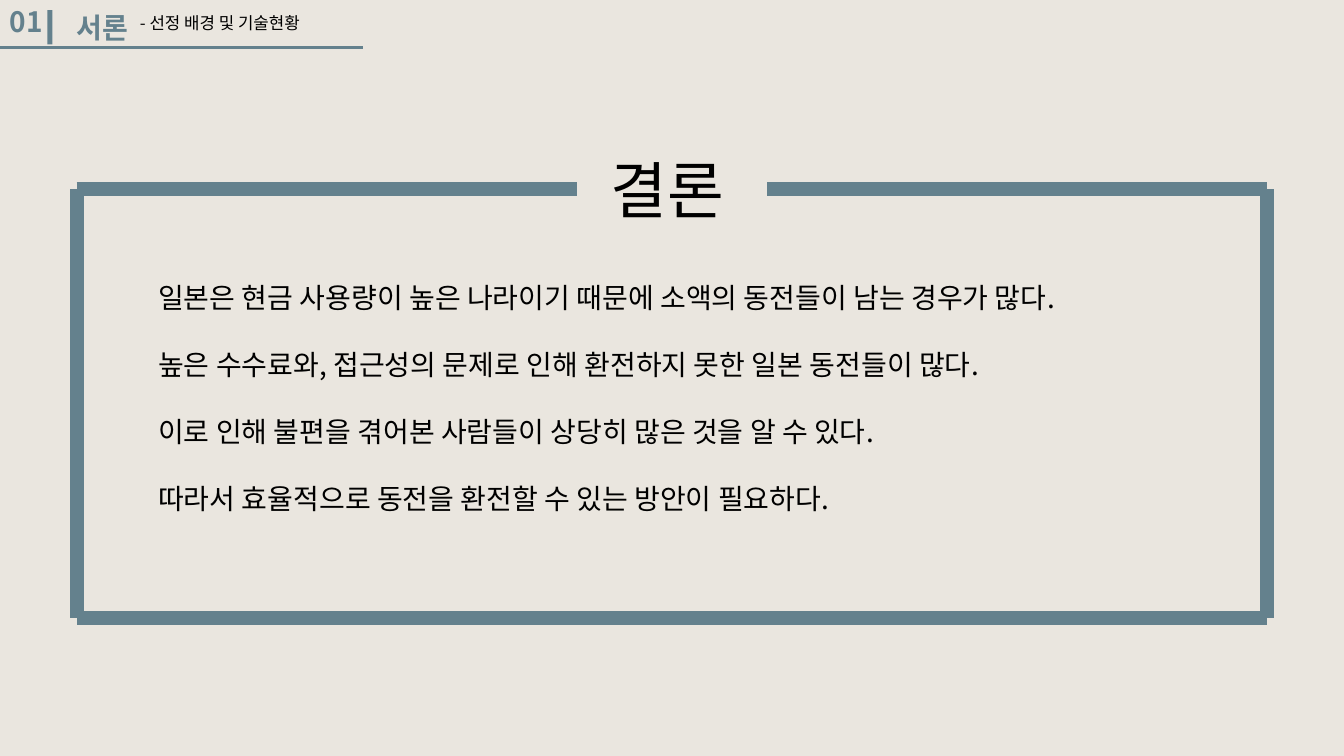
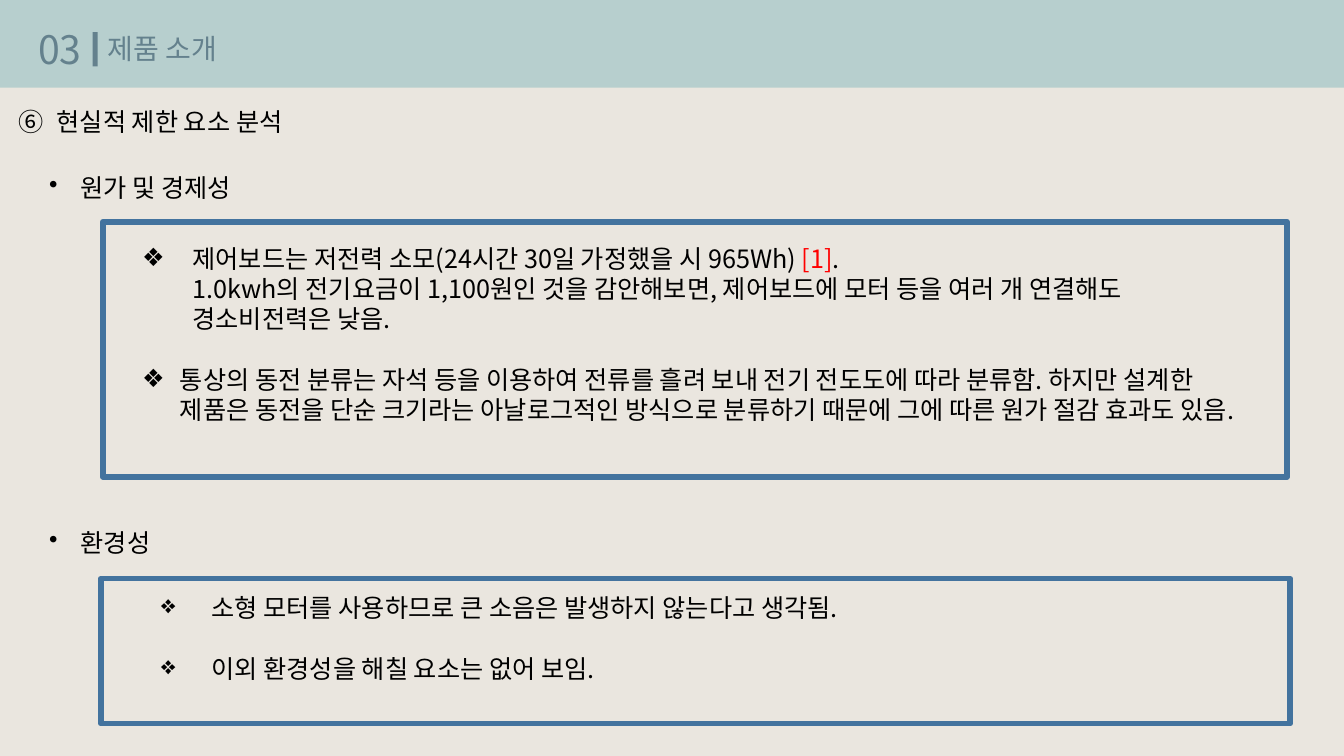
"""Build two slides: a framed conclusion and an analysis of practical limits."""
from dataclasses import dataclass

from lxml.etree import SubElement as Sub
from pptx import Presentation as Deck
from pptx.dml.color import RGBColor as Rgb
from pptx.enum.shapes import MSO_CONNECTOR as Link, MSO_SHAPE as Form
from pptx.enum.text import MSO_ANCHOR as Anchor, MSO_AUTO_SIZE as Fit, PP_ALIGN as Align
from pptx.oxml.ns import qn
from pptx.util import Pt

FONT = "Noto Sans CJK KR"
PAPER, SLATE, BAND = "EAE6DF", "64818D", "B7CFCE"
BLUE, RED, BLACK = "43739E", "FF0000", "000000"
WIDE, HIGH = 960, 540
PITCH = 1.2

Box = tuple[float, float, float, float]
Spot = tuple[float, float]


@dataclass(frozen=True)
class Item:
    """One paragraph: coloured runs, indent, bullet and gap above."""
    runs: tuple[tuple[str, str], ...]
    left: float = 0
    hang: float = 0
    mark: str = ""
    gap: float = 0


@dataclass(frozen=True)
class Head:
    """The numbered heading of a slide."""
    num: str
    name: str
    num_box: Box
    bar: Spot
    name_box: Box
    size: float
    bold: bool


@dataclass(frozen=True)
class Part:
    """A bulleted topic and the outline under it."""
    name: str
    spot: Box
    frame: Box


def hue(code: str) -> Rgb:
    """Turn a hex string into a colour."""
    return Rgb.from_string(code)


def place(shape, box: Box) -> None:
    """Move and size a shape in points."""
    shape.left, shape.top, shape.width, shape.height = map(Pt, box)


def line(text: str, **look) -> Item:
    """Make a paragraph of one black run."""
    return Item(((text, BLACK),), **look)


def bullet(para, item: Item) -> None:
    """Set the indent and the bullet of a paragraph."""
    props = para._p.get_or_add_pPr()
    props.set("marL", str(Pt(item.left)))
    props.set("indent", str(Pt(-item.hang)))
    if item.mark.isdigit():
        Sub(props, qn("a:buAutoNum"), type="circleNumDbPlain", startAt=item.mark)
    elif item.mark:
        Sub(props, qn("a:buChar"), char=item.mark)
    else:
        Sub(props, qn("a:buNone"))


def write(page, text: str | list[Item], box: Box, *, size: float = 18,
          color: str = BLACK, bold: bool = False, shape=None):
    """Write text into a placeholder or a new text box."""
    shape = shape or page.shapes.add_textbox(0, 0, 0, 0)
    place(shape, box)
    frame = shape.text_frame
    frame.word_wrap = True
    frame.auto_size = Fit.NONE
    frame.vertical_anchor = Anchor.TOP
    items = [Item(((text, color),))] if isinstance(text, str) else text
    for pos, item in enumerate(items):
        para = frame.add_paragraph() if pos else frame.paragraphs[0]
        bullet(para, item)
        para.alignment = Align.LEFT
        para.line_spacing = Pt(PITCH * size)
        para.space_before = Pt(item.gap)
        for words, tint in item.runs:
            run = para.add_run()
            run.text = words
            font = run.font
            font.name, font.size, font.bold = FONT, Pt(size), bold
            font.color.rgb = hue(tint)
            Sub(font._element, qn("a:ea"), typeface=FONT)
    return shape


def rect(page, box: Box, fill: str = "", edge: str = ""):
    """Draw a filled or an outlined rectangle."""
    shape = page.shapes.add_shape(Form.RECTANGLE, *map(Pt, box))
    shape.shadow.inherit = False
    if fill:
        shape.fill.solid()
        shape.fill.fore_color.rgb = hue(fill)
    else:
        shape.fill.background()
    if edge:
        shape.line.color.rgb = hue(edge)
        shape.line.width = Pt(4)
    else:
        shape.line.fill.background()
    return shape


def rule(page, start: Spot, end: Spot, width: float):
    """Draw a straight slate line."""
    wire = page.shapes.add_connector(Link.STRAIGHT, *map(Pt, start + end))
    wire.line.color.rgb = hue(SLATE)
    wire.line.width = Pt(width)
    Sub(wire.element.spPr, qn("a:effectLst"))
    return wire


def start(deck, head: Head):
    """Add a slide with its numbered heading."""
    page = deck.slides.add_slide(deck.slide_layouts[1])
    write(page, head.num, head.num_box, size=head.size, color=SLATE, bold=head.bold)
    rect(page, (*head.bar, 3.6, 24.5), fill=SLATE)
    write(page, head.name, head.name_box, size=20, color=SLATE, bold=head.bold,
          shape=page.shapes.title)
    return page


def close(deck) -> None:
    """Build the framed conclusion."""
    page = start(deck, Head("01", "서론", (0, 0, 53, 32), (33.8, 7.2),
                            (47.5, 3.6, 245.5, 32), 20, True))
    rule(page, (0, 33.8), (259.2, 33.8), 2.25)
    write(page, "- 선정 배경 및 기술현황", (92.9, 5.8, 179.3, 21.6), size=12)

    left, right, top, base = 54.75, 905, 135.25, 441.5
    label = write(page, "결론", (429, 105, 119, 60.5), size=44)
    rule(page, (548, top), (right, top), 10).begin_connect(label, 3)
    for tail, tip in (((left, top), (412, top)), ((left, top), (left, base)),
                      ((right, top), (right, base)), ((left, base), (right, base))):
        rule(page, tail, tip, 10)

    texts = ("일본은 현금 사용량이 높은 나라이기 때문에 소액의 동전들이 남는 경우가 많다.",
             "높은 수수료와, 접근성의 문제로 인해 환전하지 못한 일본 동전들이 많다.",
             "이로 인해 불편을 겪어본 사람들이 상당히 많은 것을 알 수 있다.",
             "따라서 효율적으로 동전을 환전할 수 있는 방안이 필요하다.")
    items = [line(text, gap=24 if pos else 0) for pos, text in enumerate(texts)]
    write(page, items, (105.8, 196.6, 764.6, 220.3), size=20,
          shape=page.placeholders[1])


def limits(deck) -> None:
    """Build the analysis of cost and environment."""
    page = start(deck, Head("03", "제품 소개", (20.2, 14.4, 53, 41), (66.2, 23),
                            (69.8, 18.7, 212.4, 32), 28, False))
    band = rect(page, (0, 0, WIDE, 62.6), fill=BAND)
    page.shapes.title.element.addprevious(band.element)
    write(page, [line("현실적 제한 요소 분석", left=27, hang=27, mark="6")],
          (6.5, 72.7, 242.6, 29))

    for part in (Part("원가 및 경제성", (28, 119.5, 324, 29), (73.4, 158.4, 846, 182.2)),
                 Part("환경성", (28, 373, 106, 29), (72, 413.3, 849.6, 103.7))):
        write(page, [line(part.name, left=22.5, hang=22.5, mark="•")], part.spot)
        rect(page, part.frame, edge=BLUE)

    gap = PITCH * 18
    cost = [
        Item((("제어보드는 저전력 소모(24시간 30일 가정했을 시 965Wh)", BLACK),
              (" [1]", RED), (".", BLACK)), left=72, hang=36, mark="❖"),
        line("1.0kwh의 전기요금이 1,100원인 것을 감안해보면, 제어보드에 모터 등을 "
             "여러 개 연결해도 경소비전력은 낮음.", left=72),
        line("통상의 동전 분류는 자석 등을 이용하여 전류를 흘려 보내 전기 전도도에 따라 "
             "분류함. 하지만 설계한 제품은 동전을 단순 크기라는 아날로그적인 방식으로 "
             "분류하기 때문에 그에 따른 원가 절감 효과도 있음.",
             left=63, hang=27, mark="❖", gap=gap),
    ]
    write(page, cost, (58.3, 170, 843.1, 160), shape=page.placeholders[1])
    green = [
        line("소형 모터를 사용하므로 큰 소음은 발생하지 않는다고 생각됨.",
             left=72, hang=36, mark="❖"),
        line("이외 환경성을 해칠 요소는 없어 보임.",
             left=72, hang=36, mark="❖", gap=gap),
    ]
    write(page, green, (72, 419.8, 846, 94.3))


def main() -> None:
    """Build and save the deck."""
    deck = Deck()
    deck.slide_width, deck.slide_height = Pt(WIDE), Pt(HIGH)
    back = deck.slide_master.background.fill
    back.solid()
    back.fore_color.rgb = hue(PAPER)
    close(deck)
    limits(deck)
    deck.save("out.pptx")


if __name__ == "__main__":
    main()
